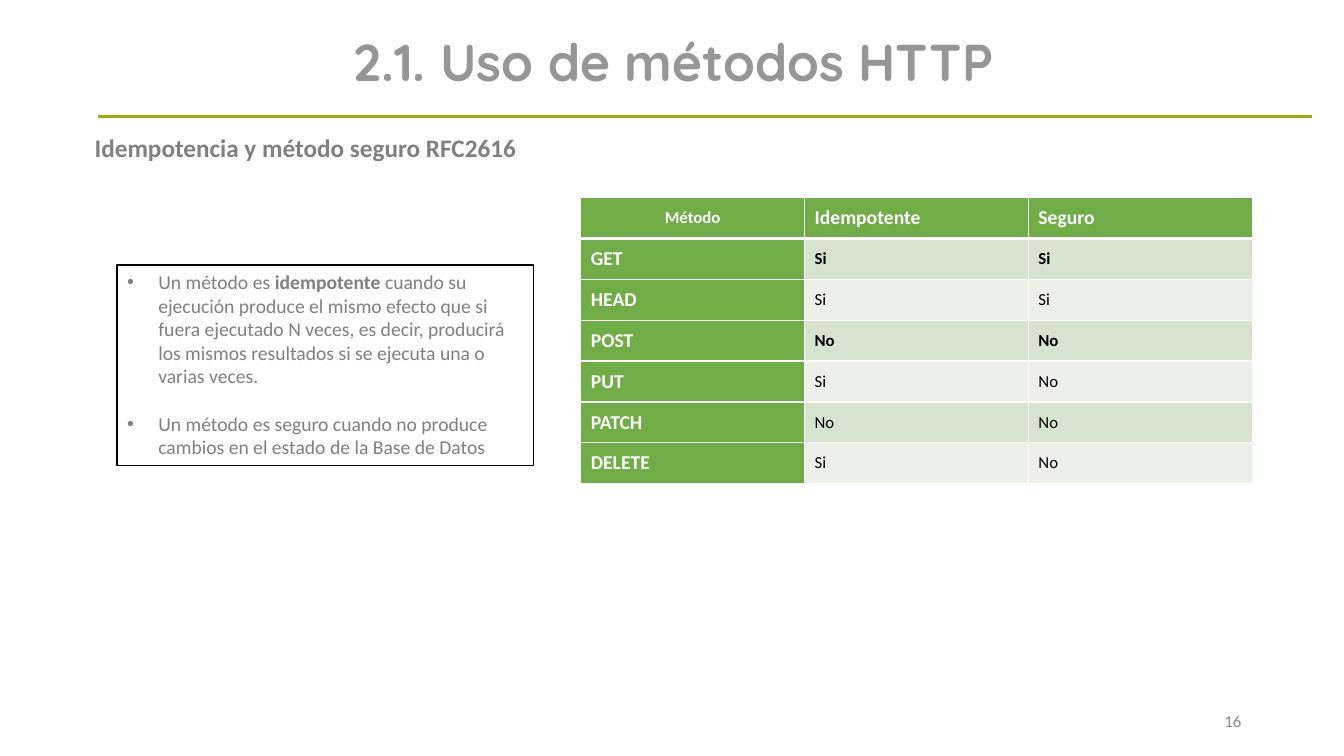
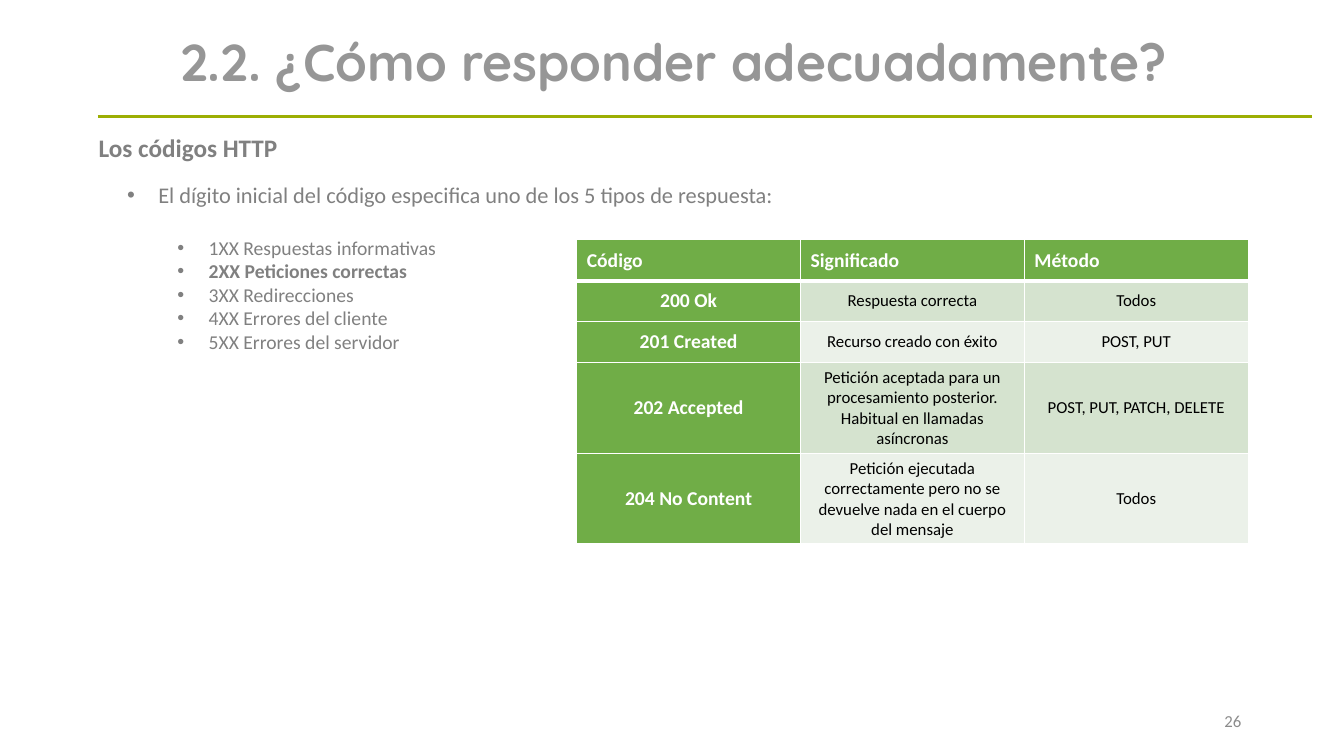
from lxml import etree
from pptx import Presentation
from pptx.dml.color import RGBColor
from pptx.enum.shapes import MSO_CONNECTOR
from pptx.enum.text import MSO_ANCHOR, MSO_AUTO_SIZE, PP_ALIGN
from pptx.oxml.ns import qn
from pptx.util import Inches, Pt

LEFT, MID, RIGHT = PP_ALIGN.LEFT, PP_ALIGN.CENTER, PP_ALIGN.RIGHT
JUST = PP_ALIGN.JUSTIFY
CENTRE, FIXED = MSO_ANCHOR.MIDDLE, MSO_AUTO_SIZE.NONE
STRAIGHT = MSO_CONNECTOR.STRAIGHT

WHITE = RGBColor(0xFF, 0xFF, 0xFF)
BLACK = RGBColor(0, 0, 0)
GREY = RGBColor(0x80, 0x80, 0x80)
SILVER = RGBColor(0x96, 0x96, 0x96)
PALE = RGBColor(0x8C, 0x8C, 0x8C)
LIME = RGBColor(0x9C, 0xAE, 0x04)
GREEN = RGBColor(0x70, 0xAD, 0x47)
BANDS = RGBColor(0xD5, 0xE3, 0xCF), RGBColor(0xEB, 0xF1, 0xE9)
SANS, ROUND = "Calibri", "Quicksand"
ROW, COL, TALL = 2.84 / 7, 2.22, 0.9
HANG = 0.31

# Content: list items are (level, size, space before, runs); a run is (text, bold)
SLIDES = [
    {
        "title": "2.1. Uso de métodos HTTP",
        "topic": ("Idempotencia y método seguro RFC2616", 0.84),
        "number": "16",
        "box": (1.16, 2.63, 4.13, 1.99),
        "edge": True,
        "items": [
            (0, 14, 0, [
                ("Un método es ", False), ("idempotente ", True),
                ("cuando su ejecución produce el mismo efecto que si fuera "
                 "ejecutado N veces, es decir, producirá los mismos "
                 "resultados si se ejecuta una o varias veces.", False)]),
            (0, 14, 17, [("Un método es seguro cuando no produce cambios en "
                          "el estado de la Base de Datos", False)]),
        ],
        "at": (5.76, 1.96),
        "align": LEFT,
        "small": "Método",
        "strong": {"GET", "POST"},
        "tall": set(),
        "rows": [
            ("Método", "Idempotente", "Seguro"),
            ("GET", "Si", "Si"),
            ("HEAD", "Si", "Si"),
            ("POST", "No", "No"),
            ("PUT", "Si", "No"),
            ("PATCH", "No", "No"),
            ("DELETE", "Si", "No"),
        ],
    },
    {
        "title": "2.2. ¿Cómo responder adecuadamente?",
        "topic": ("Los códigos HTTP", 0.88),
        "number": "26",
        "box": (1.16, 1.75, 11.13, 2.12),
        "edge": False,
        "items": [
            (0, 16, 0, [("El dígito inicial del código especifica uno de los "
                         "5 tipos de respuesta:", False)]),
            (1, 14, 19.5, [("1XX Respuestas informativas", False)]),
            (1, 14, 0, [("2XX Peticiones correctas", True)]),
            (1, 14, 0, [("3XX Redirecciones", False)]),
            (1, 14, 0, [("4XX Errores del cliente", False)]),
            (1, 14, 0, [("5XX Errores del servidor", False)]),
        ],
        "at": (5.72, 2.38),
        "align": MID,
        "small": None,
        "strong": set(),
        "tall": {"202 Accepted", "204 No Content"},
        "rows": [
            ("Código", "Significado", "Método"),
            ("200 Ok", "Respuesta correcta", "Todos"),
            ("201 Created", "Recurso creado con éxito", "POST, PUT"),
            ("202 Accepted", "Petición aceptada para un procesamiento "
             "posterior. Habitual en llamadas asíncronas",
             "POST, PUT, PATCH, DELETE"),
            ("204 No Content", "Petición ejecutada correctamente pero no se "
             "devuelve nada en el cuerpo del mensaje", "Todos"),
        ],
    },
]


# Text helpers
def write(para, text, size, color, bold=False, face=SANS):
    run = para.add_run()
    run.text = text
    font = run.font
    font.name, font.size, font.bold = face, Pt(size), bold
    font.color.rgb = color


def place(shape, left, top, width, height):
    shape.left, shape.top = Inches(left), Inches(top)
    shape.width, shape.height = Inches(width), Inches(height)


def label(slide, box, text, size, color, align, bold=False):
    frame = slide.shapes.add_textbox(*map(Inches, box)).text_frame
    frame.word_wrap = True
    para = frame.paragraphs[0]
    para.alignment = align
    write(para, text, size, color, bold)
    return frame


def bullet(para, level):
    props = para._p.get_or_add_pPr()
    props.set("marL", str(Inches(HANG + level / 2)))
    props.set("indent", str(-Inches(HANG)))
    etree.SubElement(props, qn("a:buFont")).set("typeface", "Arial")
    etree.SubElement(props, qn("a:buChar")).set("char", "•")


# Parts shared by all slides
def frame_slide(slide, data):
    title = slide.shapes.title
    place(title, 0.97, 0.22, 11.42, 0.84)
    frame = title.text_frame
    frame.auto_size, frame.vertical_anchor = FIXED, CENTRE
    para = frame.paragraphs[0]
    para.alignment, para.line_spacing = MID, 0.9
    write(para, data["title"], 37, SILVER, True, ROUND)

    text, left = data["topic"]
    topic = label(slide, (left, 1.11, 12.05, 0.51), text, 18, GREY, JUST, True)
    topic.paragraphs[0].line_spacing = 1.5

    rule = slide.shapes.add_connector(
        STRAIGHT, *map(Inches, (0.97, 1.16, 13.01, 1.16)))
    rule.line.color.rgb, rule.line.width = LIME, Pt(2.25)
    etree.SubElement(rule._element.spPr, qn("a:effectLst"))

    page = label(slide, (9.41, 6.95, 3, 0.4), data["number"], 12, PALE, RIGHT)
    page.vertical_anchor = CENTRE


def fill_list(body, data):
    place(body, *data["box"])
    body.fill.solid()
    body.fill.fore_color.rgb = WHITE
    if data["edge"]:
        body.line.color.rgb, body.line.width = BLACK, Pt(1)
    frame = body.text_frame
    frame.auto_size, frame.word_wrap = FIXED, True
    for i, (level, size, gap, runs) in enumerate(data["items"]):
        para = frame.add_paragraph() if i else frame.paragraphs[0]
        para.level = level
        bullet(para, level)
        para.space_before = Pt(gap)
        for text, bold in runs:
            write(para, text, size, GREY, bold)


# Table
def border(cell, side, width):
    line = etree.SubElement(cell._tc.get_or_add_tcPr(), qn("a:ln" + side))
    line.set("w", str(Pt(width)))
    fill = etree.SubElement(line, qn("a:solidFill"))
    etree.SubElement(fill, qn("a:srgbClr")).set("val", str(WHITE))


def fill_cell(cell, text, r, c, data):
    head, key = r == 0, r == 0 or c == 0
    small = text == data["small"]
    for side in "LRTB":
        border(cell, side, 3 if head and side == "B" else 1)
    cell.fill.solid()
    cell.fill.fore_color.rgb = GREEN if key else BANDS[(r - 1) % 2]
    cell.vertical_anchor = CENTRE
    para = cell.text_frame.paragraphs[0]
    para.alignment = MID if small else LEFT if head else data["align"]
    bold = key or data["rows"][r][0] in data["strong"]
    write(para, text, 14 if key and not small else 12,
          WHITE if key else BLACK, bold)


def add_grid(slide, data):
    rows = data["rows"]
    highs = [TALL if row[0] in data["tall"] else ROW for row in rows]
    wide = len(rows[0])
    box = *data["at"], COL * wide, sum(highs)
    table = slide.shapes.add_table(len(rows), wide, *map(Inches, box)).table
    for col in table.columns:
        col.width = Inches(COL)
    for r, row in enumerate(rows):
        table.rows[r].height = Inches(highs[r])
        for c, text in enumerate(row):
            fill_cell(table.cell(r, c), text, r, c, data)


def main():
    deck = Presentation()
    deck.slide_width, deck.slide_height = Inches(13.33), Inches(7.5)
    for data in SLIDES:
        slide = deck.slides.add_slide(deck.slide_layouts[1])
        frame_slide(slide, data)
        fill_list(slide.placeholders[1], data)
        add_grid(slide, data)
    deck.save("out.pptx")


if __name__ == "__main__":
    main()
